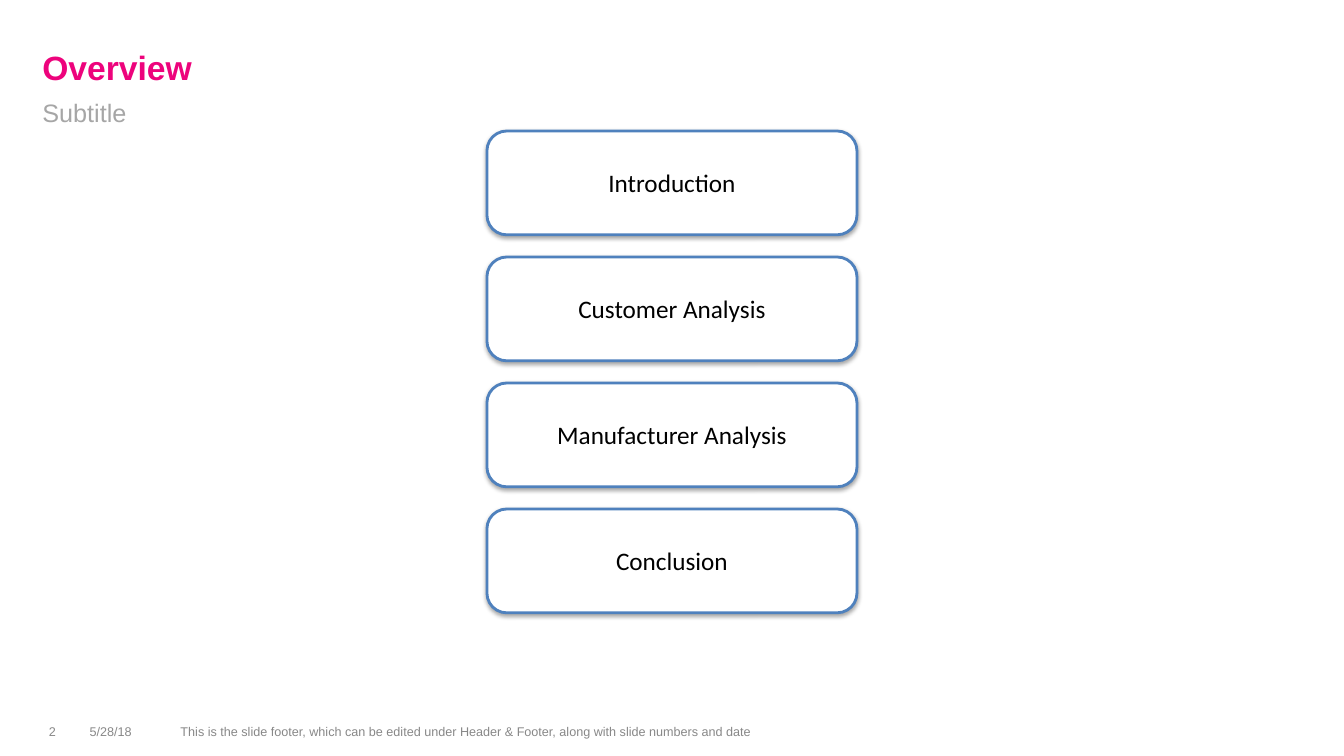
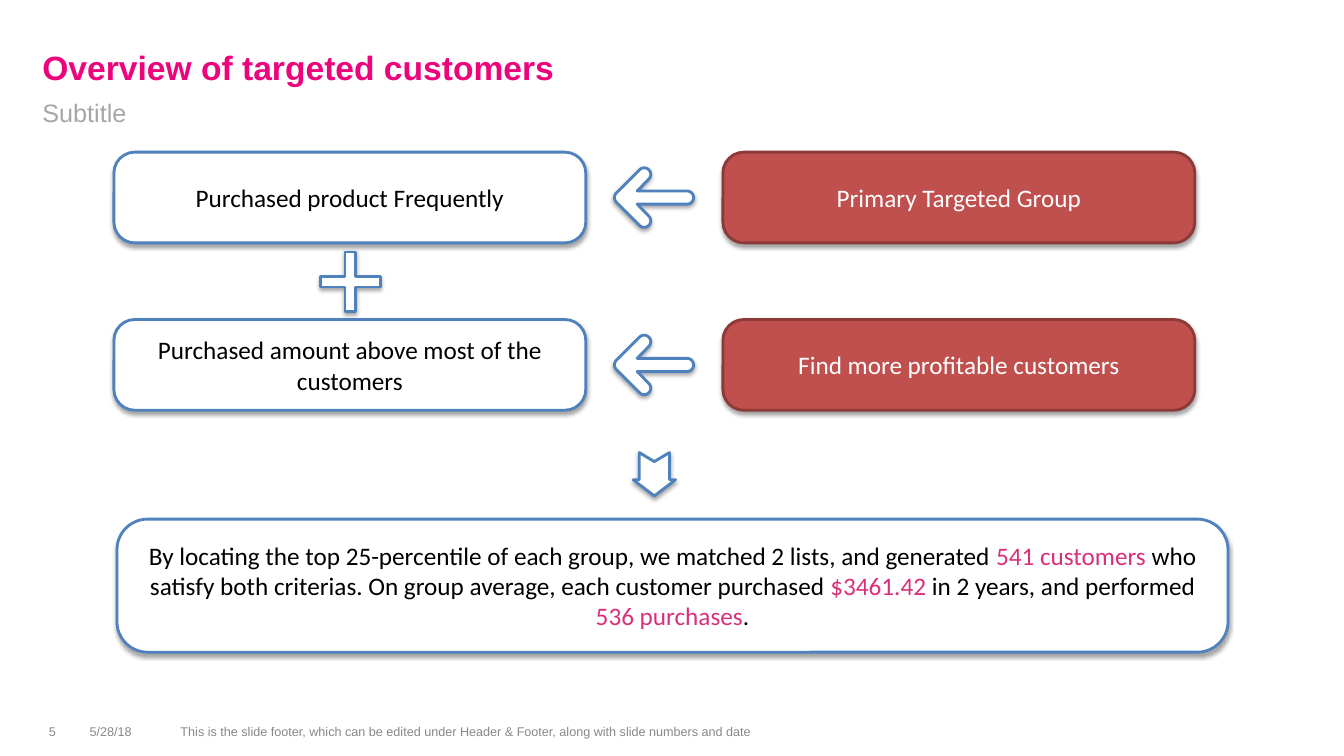
from math import cos, radians, sin

from lxml import etree
from pptx import Presentation
from pptx.dml.color import RGBColor
from pptx.enum.shapes import MSO_SHAPE
from pptx.enum.text import MSO_ANCHOR, MSO_AUTO_SIZE, PP_ALIGN
from pptx.oxml.ns import qn
from pptx.util import Inches, Pt

WHITE, BLACK, BLUE = "FFFFFF", "000000", "4F81BD"
RED, DARK_RED = "C0504D", "8C3A38"
MAGENTA, HIGHLIGHT = "ED037C", "D9307B"
GREY, LIGHT_GREY = "888888", "A6A6A6"
FOOTER = ("This is the slide footer, which can be edited under "
          "Header & Footer, along with slide numbers and date")


def rgb(color):
    return RGBColor.from_string(color)


def write(tf, runs, size=18, font="Calibri", color=BLACK, bold=False,
          align=PP_ALIGN.LEFT, anchor=MSO_ANCHOR.MIDDLE, before=0, wrap=True):
    """Fill a text frame with a string or a list of (text, colour) runs."""
    tf.auto_size = MSO_AUTO_SIZE.NONE
    tf.word_wrap = wrap
    tf.vertical_anchor = anchor
    tf.margin_left = tf.margin_right = Inches(0.05)
    tf.margin_top = tf.margin_bottom = Inches(0.05)
    p = tf.paragraphs[0]
    p.alignment = align
    p.space_before = Pt(before)
    for text, run_color in [(runs, color)] if isinstance(runs, str) else runs:
        r = p.add_run()
        r.text = text
        r.font.size = Pt(size)
        r.font.name = font
        r.font.bold = bold
        r.font.color.rgb = rgb(run_color)


def style(sp, fill=WHITE, line=BLUE):
    """Set fill and outline, and add the soft shadow below the shape."""
    sp.fill.solid()
    sp.fill.fore_color.rgb = rgb(fill)
    sp.line.color.rgb = rgb(line)
    sp.line.width = Pt(2)
    sp.shadow.inherit = False
    effects = sp._element.spPr.find(qn("a:effectLst"))
    shadow = etree.SubElement(
        effects, qn("a:outerShdw"), blurRad=str(Pt(3)), dist=str(Pt(1.8)),
        dir="5400000", rotWithShape="0")
    black = etree.SubElement(shadow, qn("a:srgbClr"), val=BLACK)
    etree.SubElement(black, qn("a:alpha"), val="35000")


def add_preset(s, kind, x, y, w, h, adj, **colors):
    sp = s.shapes.add_shape(kind, Inches(x), Inches(y), Inches(w), Inches(h))
    sp.adjustments[0] = adj
    style(sp, **colors)
    return sp


def add_box(s, runs, x, y, w, h, adj=0.23, color=BLACK, **colors):
    sp = add_preset(s, MSO_SHAPE.ROUNDED_RECTANGLE, x, y, w, h, adj, **colors)
    write(sp.text_frame, runs, color=color, align=PP_ALIGN.CENTER)


def add_outline(s, x, y, points):
    """Draw a closed polygon whose points are inches from (x, y)."""
    points = [(Inches(x + dx), Inches(y + dy)) for dx, dy in points]
    builder = s.shapes.build_freeform(*points[0])
    builder.add_line_segments(points[1:], close=True)
    style(builder.convert_to_shape())


def arc(cx, cy, radius, start, end, steps=12):
    angles = [radians(start + (end - start) * i / steps) for i in range(steps + 1)]
    return [(cx + radius * cos(a), cy + radius * sin(a)) for a in angles]


def add_left_arrow(s, x, y):
    """Draw a round-ended arrow with its tip at (x, y)."""
    r = 0.065
    points = (arc(0.29, -0.23, r, 225, 405) + [(0.22, -r)]
              + arc(0.715, 0, r, 270, 450) + [(0.22, r)]
              + arc(0.29, 0.23, r, -45, 135)
              + arc(0.06, 0, r, 135, 225))
    add_outline(s, x, y, points)


def add_down_arrow(s, x, y):
    """Draw a notched arrow centred on x with its top at y."""
    right = [(0.15, 0), (0.15, 0.27), (0.21, 0.27)]
    left = [(-dx, dy) for dx, dy in reversed(right)]
    add_outline(s, x, y, [(0, 0.09)] + right + [(0, 0.43)] + left)


def add_footer_text(s, text, x, w, **fmt):
    sp = s.shapes.add_textbox(Inches(x), Inches(7.14), Inches(w), Inches(0.23))
    write(sp.text_frame, text, size=9, font="Arial", color=GREY, **fmt)


def fill_placeholder(sp, text, y, h, **fmt):
    sp.left, sp.top = Inches(0.37), Inches(y)
    sp.width, sp.height = Inches(10.5), Inches(h)
    write(sp.text_frame, text, font="Arial", **fmt)


def add_slide(prs, title, number):
    s = prs.slides.add_slide(prs.slide_layouts[0])
    fill_placeholder(s.shapes.title, title, 0.3, 0.62, size=24, color=MAGENTA,
                     bold=True, anchor=MSO_ANCHOR.BOTTOM)
    fill_placeholder(s.placeholders[1], "Subtitle", 0.92, 0.58,
                     color=LIGHT_GREY, anchor=MSO_ANCHOR.TOP, before=6)
    add_footer_text(s, number, 0.43, 0.18, align=PP_ALIGN.CENTER, wrap=False)
    add_footer_text(s, "5/28/18", 0.84, 0.9)
    add_footer_text(s, FOOTER, 1.74, 8.89)
    return s


def add_overview(prs):
    s = add_slide(prs, "Overview", "2")
    topics = ["Introduction", "Customer Analysis", "Manufacturer Analysis", "Conclusion"]
    for i, topic in enumerate(topics):
        add_box(s, topic, 4.83, 1.3 + 1.25 * i, 3.67, 1.03, adj=0.19)


def add_targeted_customers(prs):
    s = add_slide(prs, "Overview of targeted customers", "5")
    rows = [
        ("Purchased product Frequently", "Primary Targeted Group"),
        ("Purchased amount above most of the customers", "Find more profitable customers"),
    ]
    w, h = 4.68, 0.9
    for i, (criterion, group) in enumerate(rows):
        y = 1.51 + 1.66 * i
        add_box(s, criterion, 1.13, y, w, h)
        add_box(s, group, 7.17, y, w, h, color=WHITE, fill=RED, line=DARK_RED)
        add_left_arrow(s, 6.1, y + h / 2)
    add_preset(s, MSO_SHAPE.CROSS, 3.18, 2.5, 0.59, 0.59, 0.41)
    add_down_arrow(s, 6.49, 4.49)
    finding = [
        ("By locating the top 25-percentile of each group, we matched 2 lists, "
         "and generated ", BLACK),
        ("541 customers", HIGHLIGHT),
        (" who satisfy both criterias. On group average, each customer purchased ", BLACK),
        ("$3461.42", HIGHLIGHT),
        (" in 2 years, and performed ", BLACK),
        ("536 purchases", HIGHLIGHT),
        (".", BLACK),
    ]
    add_box(s, finding, 1.16, 5.15, 11.02, 1.32)


def main():
    prs = Presentation()
    prs.slide_width, prs.slide_height = Inches(13.33), Inches(7.5)
    add_overview(prs)
    add_targeted_customers(prs)
    prs.save("out.pptx")


if __name__ == "__main__":
    main()
